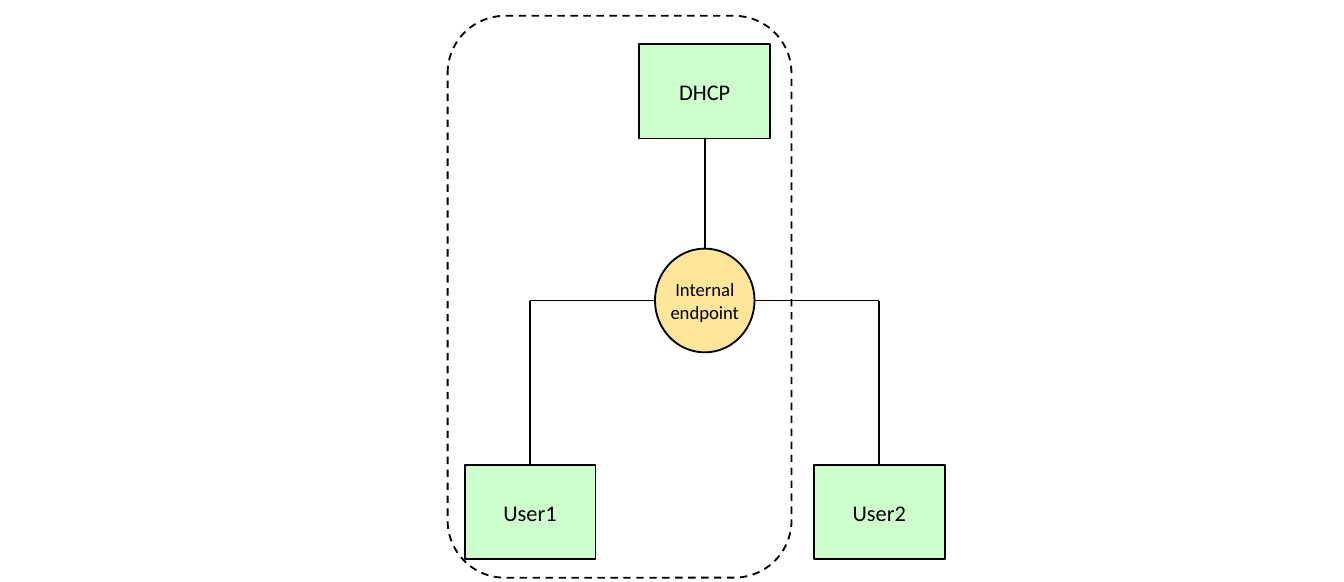
from pptx import Presentation
from pptx.dml.color import RGBColor
from pptx.enum.dml import MSO_LINE
from pptx.enum.shapes import MSO_CONNECTOR, MSO_SHAPE
from pptx.enum.text import MSO_ANCHOR, PP_ALIGN
from pptx.oxml.ns import qn
from pptx.util import Cm, Pt
from lxml.etree import SubElement


def color(value):
    """Turn a hex string into a colour."""
    return RGBColor.from_string(value)


def add_node(kind, x, y, w, h, fill=None, text="", size=12, inset=0.1):
    """Add an outlined shape centred on x, y, with optional fill and text."""
    s = slide.shapes.add_shape(kind, Cm(x - w / 2), Cm(y - h / 2), Cm(w), Cm(h))
    s.shadow.inherit = False
    s.line.color.rgb = color("000000")
    s.line.width = Pt(1)
    if fill:
        s.fill.solid()
        s.fill.fore_color.rgb = color(fill)
    else:
        s.fill.background()
    if text:
        tf = s.text_frame
        tf.word_wrap = True
        tf.vertical_anchor = MSO_ANCHOR.MIDDLE
        tf.margin_left = tf.margin_right = Cm(inset)
        tf.margin_top = tf.margin_bottom = Cm(inset)
        p = tf.paragraphs[0]
        p.text = text
        p.alignment = PP_ALIGN.CENTER
        p.font.name = "Calibri"
        p.font.size = Pt(size)
        p.font.color.rgb = color("000000")
    return s


prs = Presentation()
prs.slide_width, prs.slide_height = Cm(25.4), Cm(11)
slide = prs.slides.add_slide(prs.slide_layouts[6])

# Centres of the nodes
mid_x, spread = 13.32, 3.3
dhcp_y, endpoint_y, user_y = 1.73, 5.68, 9.68
box_w, box_h = 2.47, 1.78
circle_w, circle_h = 1.88, 1.96
users = [("User1", -1), ("User2", 1)]

# Links
links = [(mid_x, dhcp_y + box_h / 2, mid_x, endpoint_y - circle_h / 2)]
for name, side in users:
    x = mid_x + side * spread
    links.append((x, user_y - box_h / 2, x, endpoint_y))
    links.append((x, endpoint_y, mid_x + side * circle_w / 2, endpoint_y))
for link in links:
    c = slide.shapes.add_connector(MSO_CONNECTOR.STRAIGHT, *[Cm(v) for v in link])
    c.line.color.rgb = color("000000")
    c.line.width = Pt(1)
    SubElement(c._element.spPr, qn("a:effectLst"))

# Nodes
boxes = [("DHCP", mid_x, dhcp_y)]
boxes += [(name, mid_x + side * spread, user_y) for name, side in users]
for name, x, y in boxes:
    add_node(MSO_SHAPE.RECTANGLE, x, y, box_w, box_h, "CCFFCC", name)
add_node(MSO_SHAPE.OVAL, mid_x, endpoint_y, circle_w, circle_h, "FFE699",
         "Internal endpoint", size=10, inset=0)

# Dashed boundary around DHCP, endpoint and User1
boundary = add_node(MSO_SHAPE.ROUNDED_RECTANGLE, 11.71, 5.61, 6.5, 10.62)
boundary.line.dash_style = MSO_LINE.DASH

prs.save("out.pptx")
